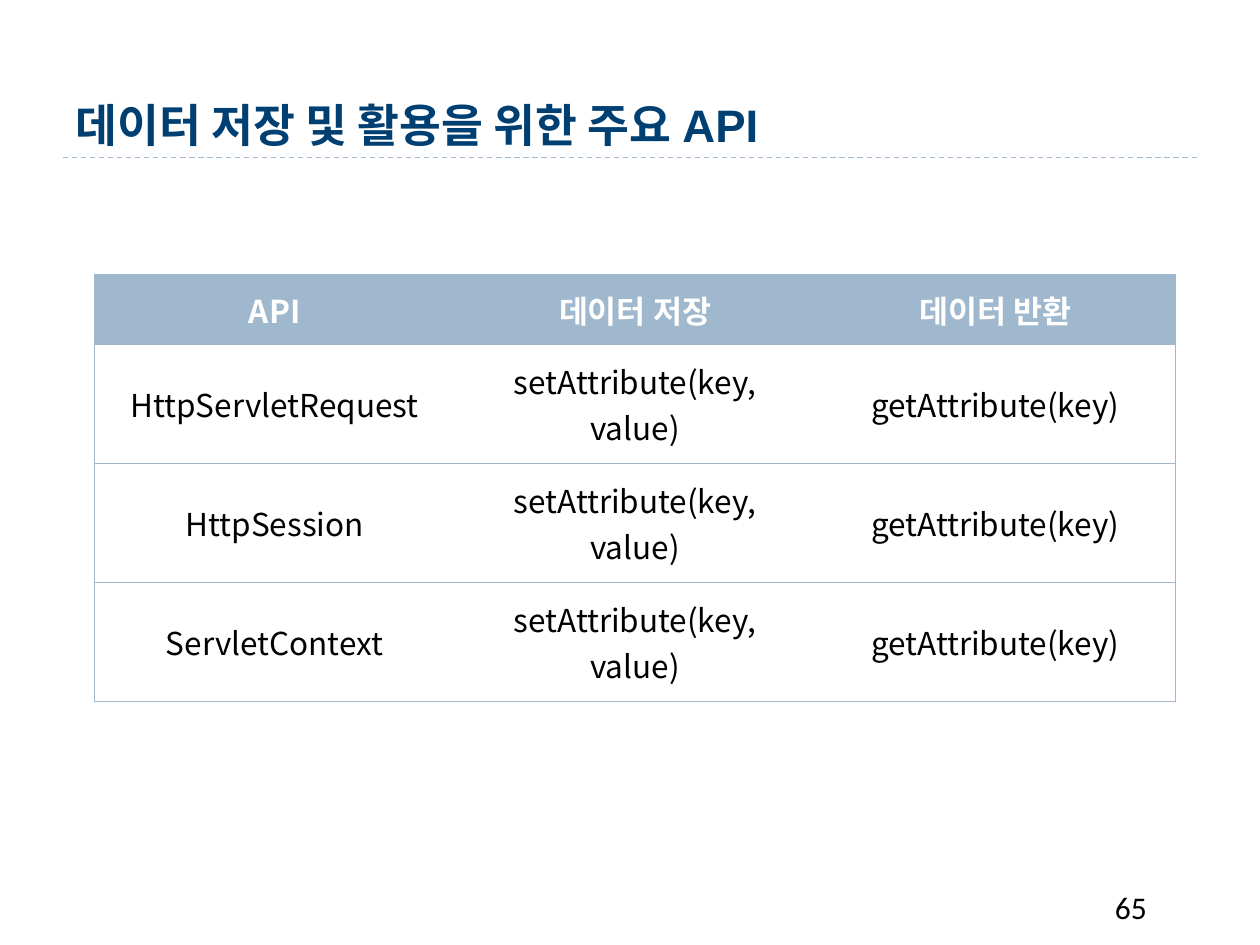
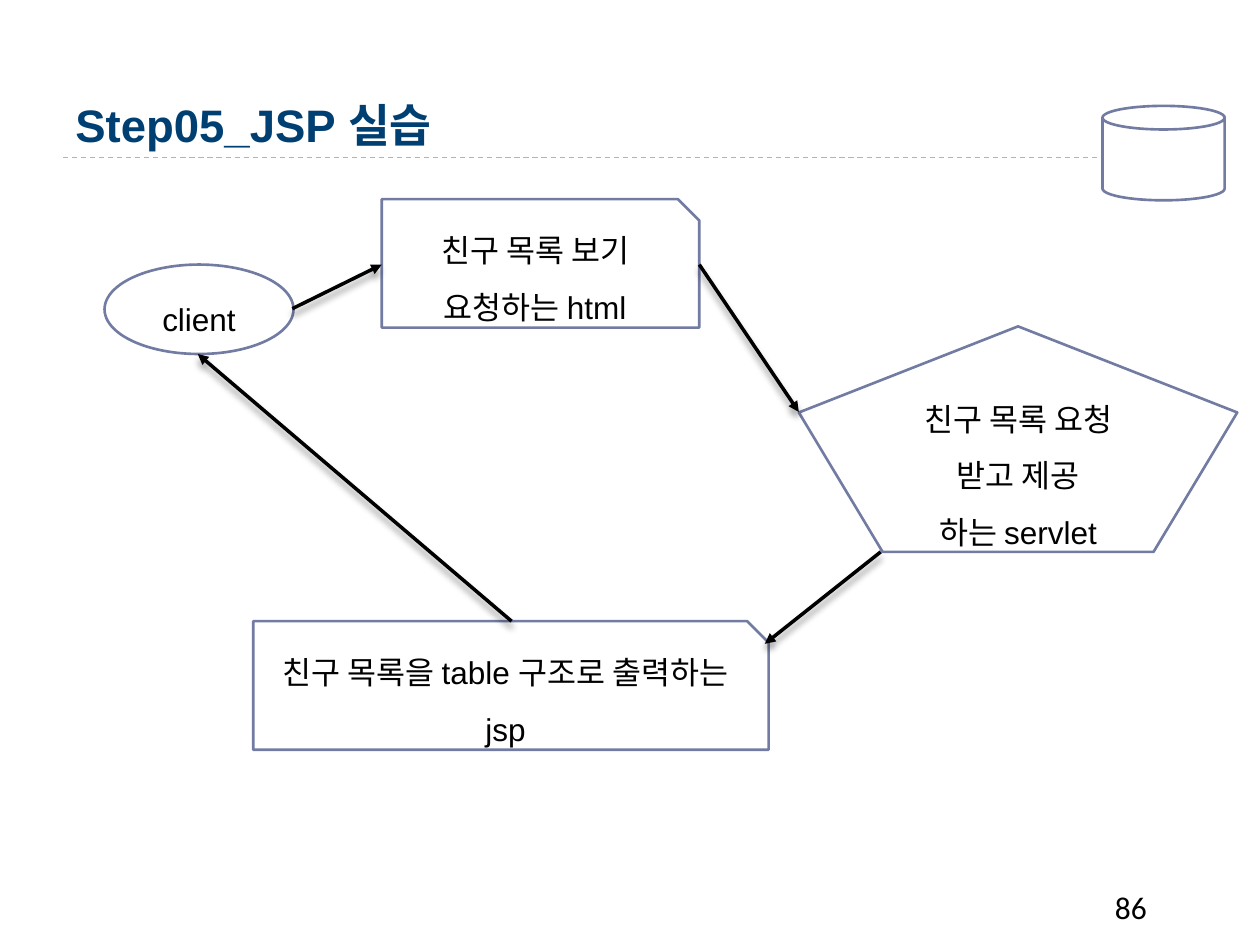
from lxml.etree import SubElement
from pptx import Presentation
from pptx.dml.color import RGBColor as Rgb
from pptx.enum.dml import MSO_LINE as Dash
from pptx.enum.shapes import MSO_CONNECTOR as Connector, MSO_SHAPE as Shape
from pptx.enum.text import MSO_ANCHOR as Anchor, PP_ALIGN as Align
from pptx.oxml.ns import qn
from pptx.util import Inches, Pt

COLORS = {
    "title": "003F71",
    "rule": "9FB8CD",
    "outline": "727CA3",
    "text": "000000",
    "paper": "FFFFFF",
}
KOREAN = "Noto Sans CJK KR"

deck = Presentation()
deck.slide_width, deck.slide_height = Inches(10), Inches(7.5)
COLUMN, ROW = deck.slide_width / 100, deck.slide_height / 75


def write(frame, lines, size=18, font="Arial", color="text", bold=False,
          align=Align.LEFT, spacing=1.0):
    frame.word_wrap = True
    for number, line in enumerate(lines):
        para = frame.add_paragraph() if number else frame.paragraphs[0]
        para.alignment = align
        para.line_spacing = spacing
        span = para.add_run()
        span.text = line
        span.font.size = Pt(size)
        span.font.bold = bold
        span.font.name = font
        span.font.color.rgb = Rgb.from_string(COLORS[color])
        SubElement(span.font._element, qn("a:ea"), typeface=KOREAN)


def connect(page, start, end, color, width):
    line = page.shapes.add_connector(
        Connector.STRAIGHT,
        int(start[0] * COLUMN), int(start[1] * ROW),
        int(end[0] * COLUMN), int(end[1] * ROW))
    line.line.color.rgb = Rgb.from_string(COLORS[color])
    line.line.width = Pt(width)
    effects = SubElement(line._element.spPr, qn("a:effectLst"))
    return line, effects


pages = []
for title, number in [("데이터 저장 및 활용을 위한 주요 API", "65"),
                      ("Step05_JSP 실습", "86")]:
    page = deck.slides.add_slide(deck.slide_layouts[6])
    rule, effects = connect(page, (5, 12.5), (95, 12.5), "rule", 0.75)
    rule.line.dash_style = Dash.DASH
    box = page.shapes.add_textbox(
        int(5 * COLUMN), int(1.7 * ROW), int(90 * COLUMN), int(10.8 * ROW))
    box.text_frame.vertical_anchor = Anchor.BOTTOM
    write(box.text_frame, [title], size=26, color="title", bold=True)
    box = page.shapes.add_textbox(
        int(87.5 * COLUMN), int(70 * ROW), int(8.3 * COLUMN), int(4 * ROW))
    write(box.text_frame, [number], font="Calibri")
    pages.append(page)
api_page, flow_page = pages

api_rows = [["API", "데이터 저장", "데이터 반환"]]
for name in ["HttpServletRequest", "HttpSession", "ServletContext"]:
    api_rows.append([name, "setAttribute(key, value)", "getAttribute(key)"])

heights = [5.5, 9.46, 9.46, 9.46]
table = api_page.shapes.add_table(
    len(api_rows), 3, int(7.5 * COLUMN), int(21.8 * ROW),
    int(85.8 * COLUMN), int(sum(heights) * ROW)).table
table.horz_banding = False
for column in table.columns:
    column.width = int(28.6 * COLUMN)
for row_number, (row, height) in enumerate(zip(api_rows, heights)):
    table.rows[row_number].height = int(height * ROW)
    header = row_number == 0
    for column_number, text in enumerate(row):
        cell = table.cell(row_number, column_number)
        cell.vertical_anchor = Anchor.MIDDLE
        write(cell.text_frame, [text], font=KOREAN, bold=header,
              color="paper" if header else "text", align=Align.CENTER)
        drawn = {"L": column_number == 0, "R": column_number == 2,
                 "T": True, "B": True}
        for side, visible in drawn.items():
            border = SubElement(cell._tc.get_or_add_tcPr(), qn("a:ln" + side),
                                w=str(Pt(0.75)))
            if visible:
                paint = SubElement(border, qn("a:solidFill"))
                SubElement(paint, qn("a:srgbClr"), val=COLORS["rule"])
            else:
                SubElement(border, qn("a:noFill"))
        cell.fill.solid()
        cell.fill.fore_color.rgb = Rgb.from_string(
            COLORS["rule" if header else "paper"])

steps = [
    (Shape.OVAL, 8.3, 21, 15, 7.1, ["client"]),
    (Shape.SNIP_1_RECTANGLE, 30.3, 15.8, 25.2, 10.2,
     ["친구 목록 보기 요청하는 html"]),
    (Shape.REGULAR_PENTAGON, 63.4, 25.9, 34.8, 17.9,
     ["친구 목록 요청 받고 제공", "하는 servlet"]),
    (Shape.SNIP_1_RECTANGLE, 20.1, 49.3, 40.9, 10.2,
     ["친구 목록을 table 구조로 출력하는 jsp"]),
    (Shape.CAN, 87.5, 8.4, 9.7, 7.5, []),
]
for kind, left, top, width, height, lines in steps:
    step = flow_page.shapes.add_shape(
        kind, int(left * COLUMN), int(top * ROW),
        int(width * COLUMN), int(height * ROW))
    step.shadow.inherit = False
    step.fill.solid()
    step.fill.fore_color.rgb = Rgb.from_string(COLORS["paper"])
    step.line.color.rgb = Rgb.from_string(COLORS["outline"])
    step.line.width = Pt(1.5)
    step.text_frame.vertical_anchor = Anchor.MIDDLE
    write(step.text_frame, lines, align=Align.CENTER, spacing=1.5)

arrows = [
    ((23.2, 24.5), (30.3, 21)),
    ((55.5, 21), (63.4, 32.7)),
    ((69.9, 43.8), (60.7, 51.1)),
    ((40.6, 49.3), (15.7, 28.1)),
]
for start, end in arrows:
    arrow, effects = connect(flow_page, start, end, "text", 2)
    SubElement(arrow.line._get_or_add_ln(), qn("a:tailEnd"), type="triangle")
    shadow = SubElement(effects, qn("a:outerShdw"), blurRad=str(Pt(4)),
                        dist=str(Pt(3.4)), dir="5400000", rotWithShape="0")
    shade = SubElement(shadow, qn("a:srgbClr"), val=COLORS["text"])
    SubElement(shade, qn("a:alpha"), val="40000")

deck.save("out.pptx")
